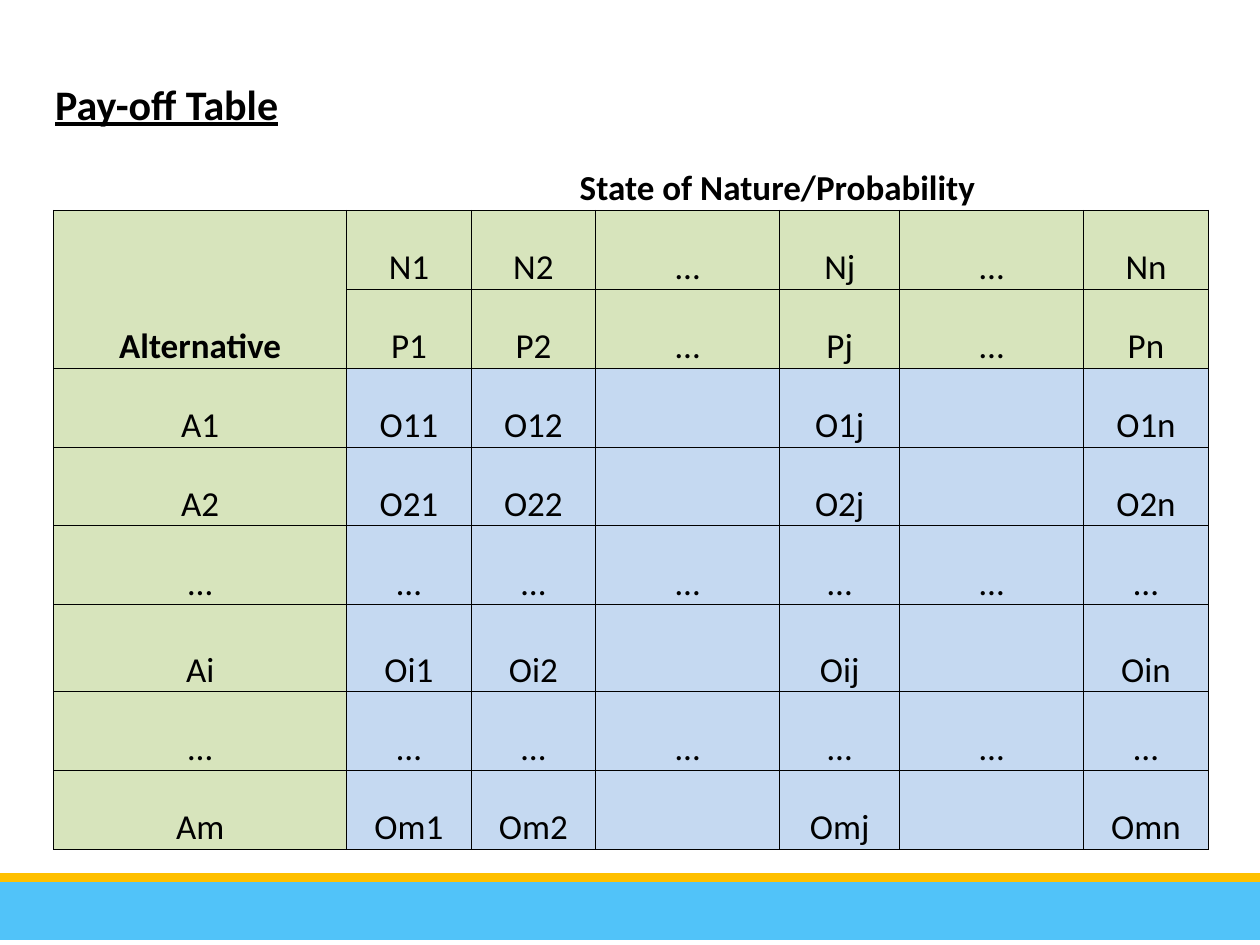
from lxml.etree import SubElement
from pptx import Presentation
from pptx.dml.color import RGBColor
from pptx.enum.shapes import MSO_SHAPE
from pptx.enum.text import MSO_ANCHOR, PP_ALIGN
from pptx.oxml.ns import qn
from pptx.util import Cm, Pt

COLORS = {
    "text": "000000",
    "border": "000000",
    "heading": "D7E4BC",
    "outcome": "C5D9F1",
    "band": "51C3F9",
    "stripe": "FFC000",
}
FONT = "Calibri"
DOTS = "…"
STATES = ["1", "2", DOTS, "j", DOTS, "n"]
ALTERNATIVES = ["1", "2", DOTS, "i", DOTS, "m"]
COLUMN_WIDTHS = [5.91, 2.51, 2.51, 3.71, 2.42, 3.71, 2.51]
ROW_HEIGHT = 1.59
TALL_ROW_HEIGHT = 1.75
TITLE_ROW, CAPTION_ROW, STATE_ROW, PROBABILITY_ROW, FIRST_OUTCOME_ROW = range(5)
SIDES = {"left": "a:lnL", "right": "a:lnR", "top": "a:lnT", "bottom": "a:lnB"}


def color(name):
    return RGBColor.from_string(COLORS[name])


def add_bar(slide, top, height, fill):
    """Add a full-width bar at the foot of the slide."""
    bar = slide.shapes.add_shape(
        MSO_SHAPE.RECTANGLE, 0, Cm(top), Cm(25.4), Cm(height))
    bar.shadow.inherit = False
    bar.fill.solid()
    bar.fill.fore_color.rgb = color(fill)
    bar.line.fill.background()


def label(letter, index):
    return DOTS if index == DOTS else letter + index


def outcome(alternative, state):
    if alternative == DOTS:
        return DOTS
    return "" if state == DOTS else f"O{alternative}{state}"


def payoff_rows():
    """Return the text of every table row, caption rows included."""
    blanks = [""] * (len(STATES) - 1)
    rows = [
        ["Pay-off Table", "", *blanks],
        ["", "State of Nature/Probability", *blanks],
        ["", *(label("N", state) for state in STATES)],
        ["Alternative", *(label("P", state) for state in STATES)],
    ]
    for alternative in ALTERNATIVES:
        outcomes = [outcome(alternative, state) for state in STATES]
        rows.append([label("A", alternative), *outcomes])
    return rows


def visible_sides(row, column):
    """Tell which borders of a cell are drawn."""
    if row == TITLE_ROW:
        return set()
    if row == CAPTION_ROW:
        return {"bottom"}
    sides = set(SIDES)
    # The two heading cells of the first column read as one
    if column == 0 and row == STATE_ROW:
        sides.remove("bottom")
    if column == 0 and row == PROBABILITY_ROW:
        sides.remove("top")
    return sides


def set_borders(cell, sides):
    properties = cell._tc.get_or_add_tcPr()
    for position, (side, tag) in enumerate(SIDES.items()):
        line = SubElement(properties, qn(tag), w=str(Pt(0.5)))
        if side in sides:
            fill = SubElement(line, qn("a:solidFill"))
            SubElement(fill, qn("a:srgbClr"), val=COLORS["border"])
        else:
            SubElement(line, qn("a:noFill"))
        properties.insert(position, line)


def set_fill(cell, row, column):
    if row < STATE_ROW:
        cell.fill.background()
        return
    is_heading = column == 0 or row < FIRST_OUTCOME_ROW
    cell.fill.solid()
    cell.fill.fore_color.rgb = color("heading" if is_heading else "outcome")


def set_text(cell, text, row):
    cell.vertical_anchor = MSO_ANCHOR.BOTTOM
    cell.margin_left = cell.margin_right = cell.margin_top = Cm(0.03)
    cell.margin_bottom = 0
    if not text:
        return
    cell.text_frame.text = text
    paragraph = cell.text_frame.paragraphs[0]
    is_title = row == TITLE_ROW
    paragraph.alignment = PP_ALIGN.LEFT if is_title else PP_ALIGN.CENTER
    for run in paragraph.runs:
        run.font.name = FONT
        run.font.size = Pt(24 if is_title else 20)
        run.font.bold = row <= CAPTION_ROW or text == "Alternative"
        run.font.underline = is_title
        run.font.color.rgb = color("text")


def add_payoff_table(slide):
    rows = payoff_rows()
    tall_row = FIRST_OUTCOME_ROW + ALTERNATIVES.index("i")
    heights = [ROW_HEIGHT] * len(rows)
    heights[tall_row] = TALL_ROW_HEIGHT
    frame = slide.shapes.add_table(
        len(rows), len(COLUMN_WIDTHS), Cm(1.08), Cm(1.06),
        Cm(sum(COLUMN_WIDTHS)), Cm(sum(heights)))
    table = frame.table
    table.first_row = table.horz_banding = False

    for column, width in zip(table.columns, COLUMN_WIDTHS):
        column.width = Cm(width)
    for table_row, height in zip(table.rows, heights):
        table_row.height = Cm(height)

    # Title and caption each span six columns
    table.cell(TITLE_ROW, 0).merge(table.cell(TITLE_ROW, 5))
    table.cell(CAPTION_ROW, 1).merge(table.cell(CAPTION_ROW, 6))

    for row, texts in enumerate(rows):
        for column, text in enumerate(texts):
            cell = table.cell(row, column)
            set_text(cell, text, row)
            set_fill(cell, row, column)
            set_borders(cell, visible_sides(row, column))


def main():
    presentation = Presentation()
    presentation.slide_width = Cm(25.4)
    presentation.slide_height = Cm(19.05)
    slide = presentation.slides.add_slide(presentation.slide_layouts[6])

    # Footer bars
    add_bar(slide, 17.68, 1.27, "band")
    add_bar(slide, 17.6, 0.18, "stripe")

    # Pay-off table with its title
    add_payoff_table(slide)

    presentation.save("out.pptx")


if __name__ == "__main__":
    main()
